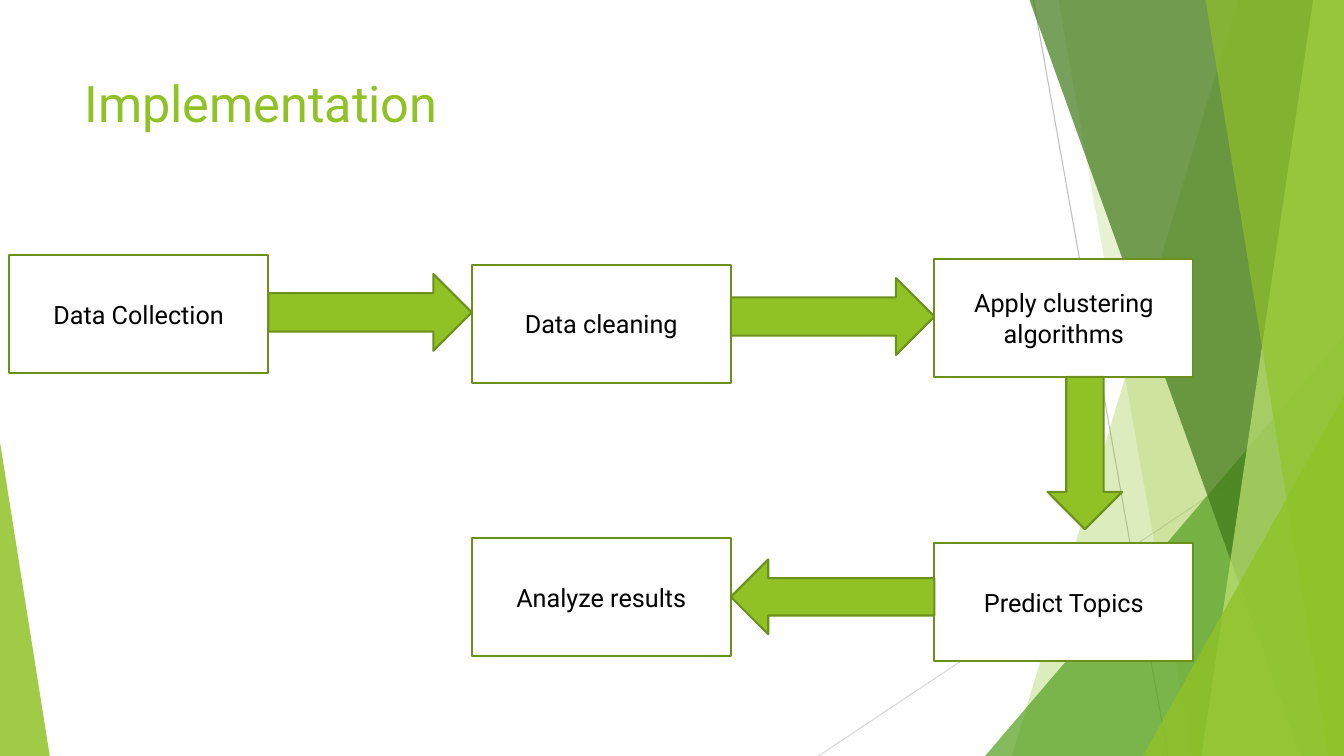
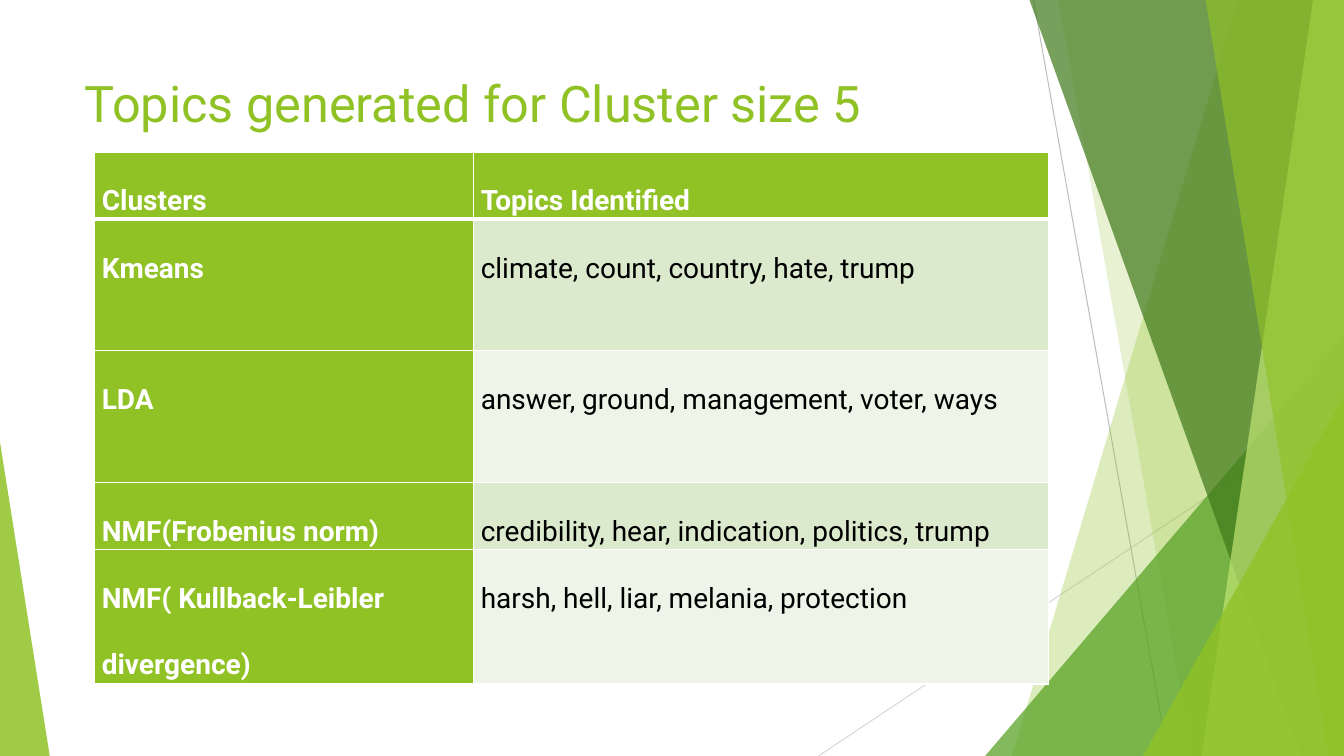
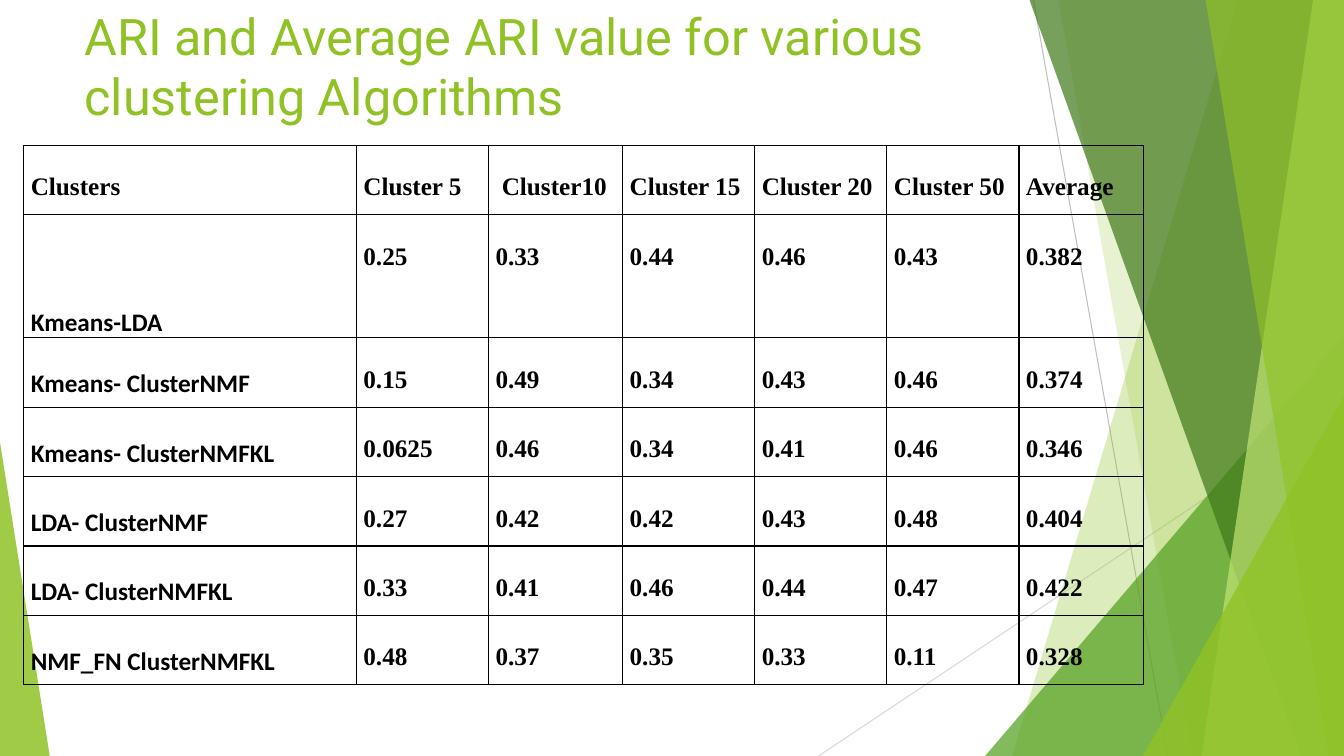
from dataclasses import dataclass
from typing import Any

from lxml import etree
from pptx import Presentation
from pptx.dml.color import RGBColor
from pptx.enum.shapes import MSO_CONNECTOR, MSO_SHAPE
from pptx.enum.text import MSO_ANCHOR, PP_ALIGN
from pptx.oxml.ns import qn
from pptx.util import Emu, Inches, Pt

STRAIGHT = MSO_CONNECTOR.STRAIGHT
RECTANGLE = MSO_SHAPE.RECTANGLE
TRIANGLE = MSO_SHAPE.ISOSCELES_TRIANGLE
RIGHT_ARROW = MSO_SHAPE.RIGHT_ARROW
LEFT_ARROW = MSO_SHAPE.LEFT_ARROW
DOWN_ARROW = MSO_SHAPE.DOWN_ARROW
TOP, MIDDLE, BOTTOM = MSO_ANCHOR.TOP, MSO_ANCHOR.MIDDLE, MSO_ANCHOR.BOTTOM
LEFT, CENTER = PP_ALIGN.LEFT, PP_ALIGN.CENTER

WHITE = RGBColor(0xFF, 0xFF, 0xFF)
BLACK = RGBColor(0, 0, 0)
LIME = RGBColor(0x90, 0xC2, 0x26)
PALE_LIME = RGBColor(0xC0, 0xE4, 0x74)
GREEN = RGBColor(0x54, 0xA0, 0x21)
DARK_GREEN = RGBColor(0x3F, 0x78, 0x19)
OUTLINE = RGBColor(0x6B, 0x90, 0x1C)
BAND_DARK = RGBColor(0xDB, 0xE9, 0xCD)
BAND_LIGHT = RGBColor(0xEE, 0xF4, 0xE8)
GRAY = RGBColor(0xBF, 0xBF, 0xBF)
LIGHT_GRAY = RGBColor(0xD9, 0xD9, 0xD9)

SLIDE_WIDTH, SLIDE_HEIGHT = Inches(13.33), Inches(7.5)
ROBOTO, CALIBRI, TIMES = "Roboto", "Calibri", "Times New Roman"
TITLE_FONT = {"name": ROBOTO, "size": Pt(36)}
BOX_FONT = {"name": ROBOTO, "size": Pt(18)}
TOPIC_FONT = {"name": ROBOTO, "size": Pt(20), "bold": False}
SCORE_FONT = {"name": TIMES, "size": Pt(18), "bold": True}
CELL_MARGINS = {
    "margin_left": Inches(0.07),
    "margin_right": Inches(0.07),
    "margin_top": 0,
    "margin_bottom": 0,
}


def across(percent: float) -> Emu:
    return Emu(round(SLIDE_WIDTH * percent / 100))


def down(percent: float) -> Emu:
    return Emu(round(SLIDE_HEIGHT * percent / 100))


def place(left: float, top: float, width: float, height: float) -> tuple[Emu, ...]:
    return across(left), down(top), across(width), down(height)


def apply(target: Any, values: dict[str, Any]) -> None:
    for name, value in values.items():
        setattr(target, name, value)


@dataclass(frozen=True)
class Ray:
    start: tuple[float, float]
    end: tuple[float, float]
    color: RGBColor


@dataclass(frozen=True)
class Panel:
    upper_left: float
    lower_left: float
    color: RGBColor
    opacity: int


@dataclass(frozen=True)
class Wedge:
    left: float
    top: float
    width: float
    peak: float
    color: RGBColor
    opacity: int


@dataclass(frozen=True)
class Step:
    column: int
    top: float
    label: str


@dataclass(frozen=True)
class FlowArrow:
    preset: MSO_SHAPE
    left: float
    top: float
    width: float
    height: float


@dataclass(frozen=True)
class CellLook:
    font: dict[str, Any]
    color: RGBColor
    fill: RGBColor | None = None
    anchor: MSO_ANCHOR = TOP


@dataclass(frozen=True)
class Grid:
    left: float
    top: float
    columns: tuple[float, ...]
    rows: tuple[float, ...]
    border: RGBColor
    header_rule: float


RAYS = (
    Ray((76.9, 0), (86.9, 100), GRAY),
    Ray((100, 53.7), (60.9, 100), LIGHT_GRAY),
)
LAYERS = (
    Panel(92.1, 75.3, LIME, 30),
    Panel(78.75, 88.7, LIME, 20),
    Wedge(73.3, 44.4, 26.7, 1, GREEN, 72),
    Panel(76.6, 96.8, DARK_GREEN, 70),
    Panel(97.7, 89.4, PALE_LIME, 70),
    Panel(89.7, 98.85, LIME, 65),
    Wedge(85.05, 52.4, 14.95, 1, LIME, 80),
    Wedge(0, 58.5, 3.7, 0, LIME, 85),
)

BOX_WIDTH, BOX_HEIGHT = 19.28, 15.6
FLOW_LEFT, FLOW_PITCH = 0.68, 34.42
GAP = FLOW_PITCH - BOX_WIDTH


def column_left(column: int) -> float:
    return FLOW_LEFT + FLOW_PITCH * column


def gap_left(column: int) -> float:
    return column_left(column) + BOX_WIDTH


STEPS = (
    Step(0, 33.75, "Data Collection"),
    Step(1, 35.05, "Data cleaning"),
    Step(2, 34.25, "Apply clustering algorithms"),
    Step(2, 71.85, "Predict Topics"),
    Step(1, 71.2, "Analyze results"),
)
FLOW_ARROWS = (
    FlowArrow(RIGHT_ARROW, gap_left(0), 36.25, GAP, 10.15),
    FlowArrow(RIGHT_ARROW, gap_left(1), 36.8, GAP, 10.15),
    FlowArrow(DOWN_ARROW, 77.95, 49.85, 5.55, 20.15),
    FlowArrow(LEFT_ARROW, gap_left(1), 74, GAP, 9.9),
)

TOPIC_ROWS = (
    ("Clusters", "Topics Identified"),
    ("Kmeans", "climate, count, country, hate, trump"),
    ("LDA", "answer, ground, management, voter, ways"),
    ("NMF(Frobenius norm)", "credibility, hear, indication, politics, trump"),
    ("NMF( Kullback-Leibler divergence)", "harsh, hell, liar, melania, protection"),
)
TOPIC_LINE = 8.7
TOPIC_GRID = Grid(
    7.05, 20.1, (28.2, 42.75),
    tuple(TOPIC_LINE * lines for lines in (1, 2, 2, 1, 2)), WHITE, 3,
)

SCORE_ROWS = (
    ("Clusters", "Cluster 5", " Cluster10", "Cluster 15", "Cluster 20", "Cluster 50", "Average"),
    ("Kmeans-LDA", "0.25", "0.33", "0.44", "0.46", "0.43", "0.382"),
    ("Kmeans- ClusterNMF", "0.15", "0.49", "0.34", "0.43", "0.46", "0.374"),
    ("Kmeans- ClusterNMFKL", "0.0625", "0.46", "0.34", "0.41", "0.46", "0.346"),
    ("LDA- ClusterNMF", "0.27", "0.42", "0.42", "0.43", "0.48", "0.404"),
    ("LDA- ClusterNMFKL", "0.33", "0.41", "0.46", "0.44", "0.47", "0.422"),
    ("NMF_FN ClusterNMFKL", "0.48", "0.37", "0.35", "0.33", "0.11", "0.328"),
)
SCORE_GRID = Grid(
    1.77, 19.25, (24.75, 9.83, 9.98, 9.83, 9.83, 9.83, 9.3),
    (9.18, 16.27) + (9.18,) * 5, BLACK, 1,
)


def topic_look(row: int, column: int) -> CellLook:
    if row == 0 or column == 0:
        return CellLook(TOPIC_FONT | {"bold": True}, WHITE, LIME)
    return CellLook(TOPIC_FONT, BLACK, BAND_DARK if row % 2 else BAND_LIGHT)


def score_look(row: int, column: int) -> CellLook:
    if row == 0 or column > 0:
        return CellLook(SCORE_FONT, BLACK)
    anchor = BOTTOM if row == 1 else TOP
    return CellLook(SCORE_FONT | {"name": CALIBRI}, BLACK, anchor=anchor)


def write(
    text_frame: Any, text: str, font: dict[str, Any], color: RGBColor,
    paragraph_format: dict[str, Any],
) -> None:
    paragraph = text_frame.paragraphs[0]
    apply(paragraph, paragraph_format)
    run = paragraph.add_run()
    run.text = text
    apply(run.font, font)
    run.font.color.rgb = color


def paint(shape: Any, color: RGBColor, opacity: int = 100) -> None:
    shape.shadow.inherit = False
    shape.fill.solid()
    shape.fill.fore_color.rgb = color
    if opacity < 100:
        color_element = next(shape._element.spPr.iter(qn("a:srgbClr")))
        etree.SubElement(color_element, qn("a:alpha"), val=str(opacity * 1000))
    shape.line.fill.background()


def outline(shape: Any) -> None:
    shape.line.color.rgb = OUTLINE
    shape.line.width = Pt(1.5)


def draw_ray(slide: Any, ray: Ray) -> None:
    (start_x, start_y), (end_x, end_y) = ray.start, ray.end
    connector = slide.shapes.add_connector(
        STRAIGHT, across(start_x), down(start_y), across(end_x), down(end_y)
    )
    connector.line.color.rgb = ray.color
    connector.line.width = Pt(0.75)
    etree.SubElement(connector._element.spPr, qn("a:effectLst"))


def draw_panel(slide: Any, panel: Panel) -> None:
    builder = slide.shapes.build_freeform(across(panel.upper_left), 0)
    corners = ((100, 0), (100, 100), (panel.lower_left, 100))
    builder.add_line_segments([(across(x), down(y)) for x, y in corners])
    paint(builder.convert_to_shape(), panel.color, panel.opacity)


def draw_wedge(slide: Any, wedge: Wedge) -> None:
    shape = slide.shapes.add_shape(
        TRIANGLE, *place(wedge.left, wedge.top, wedge.width, 100 - wedge.top)
    )
    shape.adjustments[0] = wedge.peak
    paint(shape, wedge.color, wedge.opacity)


def draw_step(slide: Any, step: Step) -> None:
    shape = slide.shapes.add_shape(
        RECTANGLE, *place(column_left(step.column), step.top, BOX_WIDTH, BOX_HEIGHT)
    )
    paint(shape, WHITE)
    outline(shape)
    apply(shape.text_frame, {"word_wrap": True, "vertical_anchor": MIDDLE})
    write(shape.text_frame, step.label, BOX_FONT, BLACK, {"alignment": CENTER})


def draw_flow_arrow(slide: Any, arrow: FlowArrow) -> None:
    shape = slide.shapes.add_shape(
        arrow.preset, *place(arrow.left, arrow.top, arrow.width, arrow.height)
    )
    paint(shape, LIME)
    outline(shape)


def draw_border(cell: Any, color: RGBColor, widths: dict[str, float]) -> None:
    properties = cell._tc.get_or_add_tcPr()
    for side, width in widths.items():
        line = etree.SubElement(properties, qn(f"a:ln{side}"), w=str(Pt(width)))
        fill = etree.SubElement(line, qn("a:solidFill"))
        etree.SubElement(fill, qn("a:srgbClr"), val=str(color))


def draw_cell(cell: Any, text: str, look: CellLook) -> None:
    apply(cell, CELL_MARGINS | {"vertical_anchor": look.anchor})
    if look.fill is None:
        cell.fill.background()
    else:
        cell.fill.solid()
        cell.fill.fore_color.rgb = look.fill
    write(cell.text_frame, text, look.font, look.color,
          {"line_spacing": 2.0, "alignment": LEFT})


def draw_table(slide: Any, grid: Grid, rows: tuple, look_of: Any) -> None:
    frame = slide.shapes.add_table(
        len(grid.rows), len(grid.columns),
        *place(grid.left, grid.top, sum(grid.columns), sum(grid.rows)),
    )
    table = frame.table
    apply(table, {"first_row": False, "horz_banding": False})
    for column, width in zip(table.columns, grid.columns):
        column.width = across(width)
    for row, height in zip(table.rows, grid.rows):
        row.height = down(height)
    for row_index, texts in enumerate(rows):
        widths = {
            "L": 1,
            "R": 1,
            "T": grid.header_rule if row_index == 1 else 1,
            "B": grid.header_rule if row_index == 0 else 1,
        }
        for column_index, text in enumerate(texts):
            cell = table.cell(row_index, column_index)
            draw_border(cell, grid.border, widths)
            draw_cell(cell, text, look_of(row_index, column_index))


def add_slide(presentation: Any, title: str, title_top: float = 8.93) -> Any:
    slide = presentation.slides.add_slide(presentation.slide_layouts[6])
    for ray in RAYS:
        draw_ray(slide, ray)
    for layer in LAYERS:
        if isinstance(layer, Panel):
            draw_panel(slide, layer)
        else:
            draw_wedge(slide, layer)
    text_box = slide.shapes.add_textbox(*place(5.55, title_top, 70.5, 19.2))
    apply(text_box.text_frame, {"word_wrap": True, "vertical_anchor": TOP})
    write(text_box.text_frame, title, TITLE_FONT, LIME, {"alignment": LEFT})
    return slide


def main() -> None:
    presentation = Presentation()
    apply(presentation, {"slide_width": SLIDE_WIDTH, "slide_height": SLIDE_HEIGHT})

    flow_slide = add_slide(presentation, "Implementation")
    for step in STEPS:
        draw_step(flow_slide, step)
    for arrow in FLOW_ARROWS:
        draw_flow_arrow(flow_slide, arrow)

    topic_slide = add_slide(presentation, "Topics generated for Cluster size 5")
    draw_table(topic_slide, TOPIC_GRID, TOPIC_ROWS, topic_look)

    score_slide = add_slide(
        presentation, "ARI and Average ARI value for various clustering Algorithms", 0
    )
    draw_table(score_slide, SCORE_GRID, SCORE_ROWS, score_look)

    presentation.save("out.pptx")


if __name__ == "__main__":
    main()
